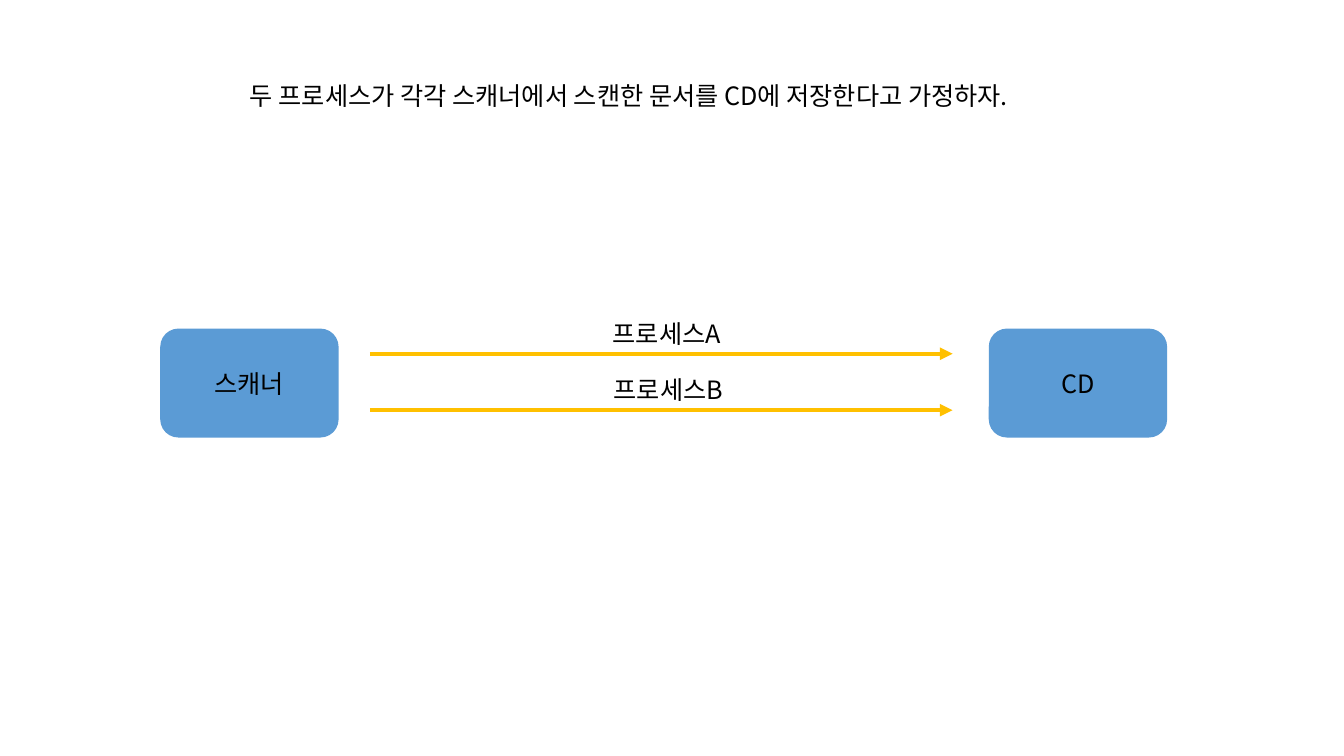
from dataclasses import dataclass

from lxml.etree import SubElement
from pptx import Presentation
from pptx.dml.color import RGBColor
from pptx.enum.shapes import MSO_CONNECTOR as CONN, MSO_SHAPE as SHAPE
from pptx.enum.text import MSO_ANCHOR as ANCHOR, MSO_AUTO_SIZE as AUTO, PP_ALIGN as ALIGN
from pptx.oxml.ns import qn
from pptx.slide import Slide
from pptx.text.text import TextFrame
from pptx.util import Pt

COLORS = {"text": "000000", "device": "5B9BD5", "arrow": "FFC000"}
FONT = "Noto Sans CJK KR"
DEVICE_TOP, DEVICE_W, DEVICE_H = 234.7, 127.4, 77.8
ARROW_LEFT, ARROW_RIGHT = 264.2, 680.4
LABEL_H = 28.8
LABEL_RISE = 29.2


@dataclass
class Device:
    name: str
    left: float


@dataclass
class Process:
    name: str
    label_left: float
    label_width: float
    arrow_y: float


DEVICES = [Device("스캐너", 114.5), Device("CD", 706.3)]
PROCESSES = [
    Process("프로세스A", 430.6, 99.4, 252.7),
    Process("프로세스B", 431.3, 97.9, 293),
]


def color(key: str) -> RGBColor:
    return RGBColor.from_string(COLORS[key])


def write(tf: TextFrame, text: str, align: ALIGN) -> None:
    tf.text = text
    p = tf.paragraphs[0]
    p.alignment = align
    r = p.runs[0]
    r.font.size = Pt(18)
    r.font.color.rgb = color("text")
    r.font.name = FONT
    SubElement(r.font._element, qn("a:ea")).set("typeface", FONT)


def add_label(s: Slide, text: str, left: float, top: float, width: float) -> None:
    sp = s.shapes.add_textbox(Pt(left), Pt(top), Pt(width), Pt(LABEL_H))
    tf = sp.text_frame
    write(tf, text, ALIGN.LEFT)
    tf.word_wrap = False
    tf.auto_size = AUTO.SHAPE_TO_FIT_TEXT


def add_device(s: Slide, device: Device) -> None:
    sp = s.shapes.add_shape(
        SHAPE.ROUNDED_RECTANGLE, Pt(device.left), Pt(DEVICE_TOP), Pt(DEVICE_W), Pt(DEVICE_H)
    )
    sp.shadow.inherit = False
    sp.fill.solid()
    sp.fill.fore_color.rgb = color("device")
    sp.line.fill.background()
    sp.text_frame.vertical_anchor = ANCHOR.MIDDLE
    write(sp.text_frame, device.name, ALIGN.CENTER)


def add_arrow(s: Slide, y: float) -> None:
    cx = s.shapes.add_connector(CONN.STRAIGHT, Pt(ARROW_LEFT), Pt(y), Pt(ARROW_RIGHT), Pt(y))
    cx.line.color.rgb = color("arrow")
    cx.line.width = Pt(3)
    SubElement(cx.line._get_or_add_ln(), qn("a:tailEnd")).set("type", "triangle")
    SubElement(cx._element.spPr, qn("a:effectLst"))


def main() -> None:
    prs = Presentation()
    prs.slide_width, prs.slide_height = Pt(960), Pt(540)
    s = prs.slides.add_slide(prs.slide_layouts[6])
    add_label(s, "두 프로세스가 각각 스캐너에서 스캔한 문서를 CD에 저장한다고 가정하자.", 171.4, 54, 617.8)
    for device in DEVICES:
        add_device(s, device)
    for process in PROCESSES:
        add_arrow(s, process.arrow_y)
    for process in PROCESSES:
        top = process.arrow_y - LABEL_RISE
        add_label(s, process.name, process.label_left, top, process.label_width)
    prs.save("out.pptx")


if __name__ == "__main__":
    main()
